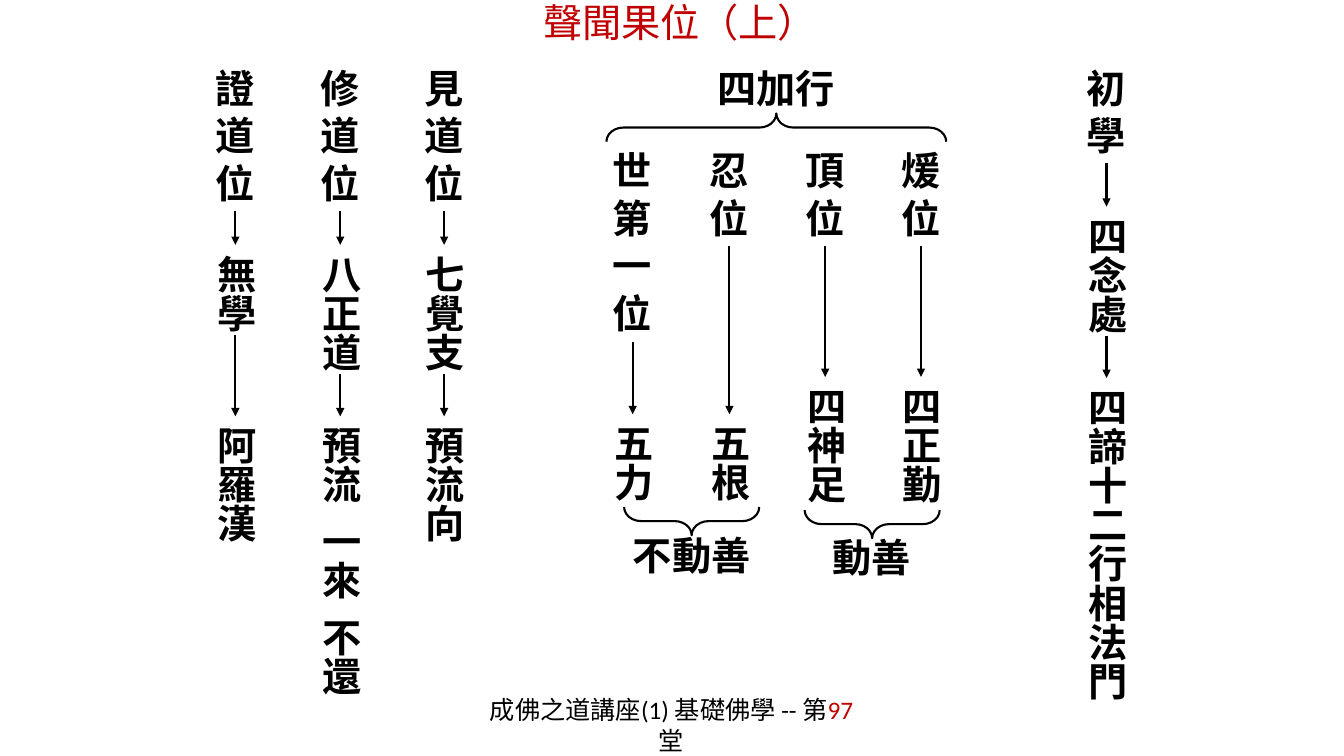
from dataclasses import dataclass
from lxml.etree import SubElement
from pptx import Presentation
from pptx.dml.color import RGBColor as RGB
from pptx.enum.shapes import MSO_CONNECTOR as Link, MSO_SHAPE as Kind
from pptx.enum.text import MSO_ANCHOR as Anchor, MSO_AUTO_SIZE as Fit, PP_ALIGN as Align
from pptx.oxml.ns import qn
from pptx.util import Pt

PX = 9144  # 100 px to the inch


@dataclass(frozen=True)
class Theme:
    ink: RGB = RGB(0, 0, 0)
    red: RGB = RGB(0xC0, 0, 0)
    latin: str = "Calibri"
    han: str = "Noto Sans CJK SC"
    big: int = 28
    small: int = 18
    line: float = 1.5
    cell: int = 39   # one character, in px
    gap: int = 20    # a space inside a column, in px


class Board:
    def __init__(self, slide, theme):
        self.slide, self.theme = slide, theme

    def place(self, shape, x, y, w, h):
        shape.left, shape.top, shape.width, shape.height = (v * PX for v in (x, y, w, h))

    def box(self, x, y, w, h):
        box = self.slide.shapes.add_textbox(x * PX, y * PX, w * PX, h * PX)
        box.text_frame.auto_size = Fit.NONE
        box.text_frame.word_wrap = False
        return box

    def style(self, run, size, color, font, bold=False, shade=False):
        run.font.size, run.font.bold = Pt(size), bold
        run.font.color.rgb = color
        props = run._r.get_or_add_rPr()
        if shade:
            self.shade(props)
        run.font.name = font
        SubElement(props, qn("a:ea"), typeface=self.theme.han)

    def shade(self, props):
        """Give the run a soft drop shadow."""
        group = SubElement(props, qn("a:effectLst"))
        drop = SubElement(group, qn("a:outerShdw"), blurRad="38100", dist="38100", dir="2700000")
        tone = SubElement(drop, qn("a:srgbClr"), val="000000")
        SubElement(tone, qn("a:alpha"), val="43000")

    def title(self, text):
        t, shape = self.theme, self.slide.shapes.title
        self.place(shape, 35, -11, 1262, 85)
        frame = shape.text_frame
        frame.text = text
        frame.auto_size, frame.word_wrap = Fit.NONE, False
        frame.vertical_anchor = Anchor.MIDDLE
        para = frame.paragraphs[0]
        para.alignment, para.line_spacing = Align.CENTER, Pt(20)
        para._p.get_or_add_pPr().set("indent", str(17 * PX))
        self.style(para.runs[0], t.big, t.red, t.latin, shade=True)

    def foot(self, parts):
        t = self.theme
        frame = self.box(462, 697, 408, 44).text_frame
        frame.word_wrap = True
        frame.vertical_anchor = Anchor.MIDDLE
        frame.margin_left = frame.margin_right = 20 * PX
        para = frame.paragraphs[0]
        para.alignment, para.line_spacing = Align.CENTER, Pt(22)
        for text, color in parts:
            run = para.add_run()
            run.text = text
            self.style(run, t.small, color, t.latin, shade=True)

    def label(self, x, y, *lines):
        """Horizontal text centred on x, one line for each string."""
        t = self.theme
        wide = 20 + t.cell * len(lines[0])
        box = self.box(x - wide // 2, y, wide, int(9.6 + 47.4 * len(lines)))
        para = box.text_frame.paragraphs[0]
        para.text = "\v".join(lines)
        para.line_spacing = Pt(34)
        for run in para.runs:
            self.style(run, t.big, t.ink, t.han, bold=True)
        return box

    def column(self, x, y, text):
        """Vertical text centred on x."""
        t = self.theme
        words = text.split()
        tall = 11 + t.cell * sum(map(len, words)) + t.gap * (len(words) - 1)
        box = self.box(x - 33, y, 67, tall)
        box.element.txBody.bodyPr.set("vert", "eaVert")
        box.text_frame.vertical_anchor = Anchor.MIDDLE
        para = box.text_frame.paragraphs[0]
        para.alignment = Align.CENTER
        for part in " ".join(words).replace(" ", "| |").split("|"):
            run = para.add_run()
            run.text = part
            self.style(run, t.big, t.ink, t.han, bold=True)
            if part == " ":
                run._r.get_or_add_rPr().set("spc", "630")
        return box

    def arrow(self, start, end):
        line = self.slide.shapes.add_connector(Link.STRAIGHT, 0, 0, 0, 0)
        line.begin_connect(start, 2)
        line.end_connect(end, 0)
        line.line.color.rgb = self.theme.ink
        line.line.width = Pt(self.theme.line)
        SubElement(line.line._get_or_add_ln(), qn("a:tailEnd"), type="triangle")
        SubElement(line.element.spPr, qn("a:effectLst"))

    def chain(self, x, y, head, steps):
        """A stage name with arrows down through its steps."""
        last = self.label(x, y, *head)
        for top, text in steps:
            step = self.column(x, top, text)
            self.arrow(last, step)
            last = step

    def brace(self, x, y, size, turn):
        shape = self.slide.shapes.add_shape(
            Kind.RIGHT_BRACE, (x - 14) * PX, (y - size // 2) * PX, 28 * PX, size * PX)
        shape.rotation = turn
        shape.adjustments[0] = 0.6
        shape.shadow.inherit = False
        shape.fill.background()
        shape.line.color.rgb = self.theme.ink
        shape.line.width = Pt(self.theme.line)


CHAINS = [
    (1097, 58, "初學", [(205, "四念處"), (375, "四諦十二行相法門")]),
    (913, 140, "煖位", [(374, "四正勤")]),
    (818, 140, "頂位", [(374, "四神足")]),
    (723, 140, "忍位", [(411, "五根")]),
    (627, 140, "世第一位", [(411, "五力")]),
    (440, 58, "見道位", [(243, "七覺支"), (413, "預流向")]),
    (337, 58, "修道位", [(243, "八正道"), (413, "預流 一來 不還")]),
    (233, 58, "證道位", [(243, "無學"), (413, "阿羅漢")]),
]
# centre x, brace y, brace size, turn, label y, label
GROUPS = [
    (770, 126, 337, 270, 58, "四加行"),
    (865, 520, 134, 90, 524, "動善"),
    (686, 517, 134, 90, 522, "不動善"),
]


def main():
    deck = Presentation()
    deck.slide_width, deck.slide_height = 1333 * PX, 750 * PX
    theme = Theme()
    board = Board(deck.slides.add_slide(deck.slide_layouts[5]), theme)
    board.title("聲聞果位（上）")
    board.foot([("成佛之道講座(1) 基礎佛學 -- 第", theme.ink), ("97", theme.red), ("堂", theme.ink)])
    for x, y, head, steps in CHAINS:
        board.chain(x, y, head, steps)
    for x, mid, size, turn, y, text in GROUPS:
        board.brace(x, mid, size, turn)
        board.label(x, y, text)
    deck.save("out.pptx")


if __name__ == "__main__":
    main()
